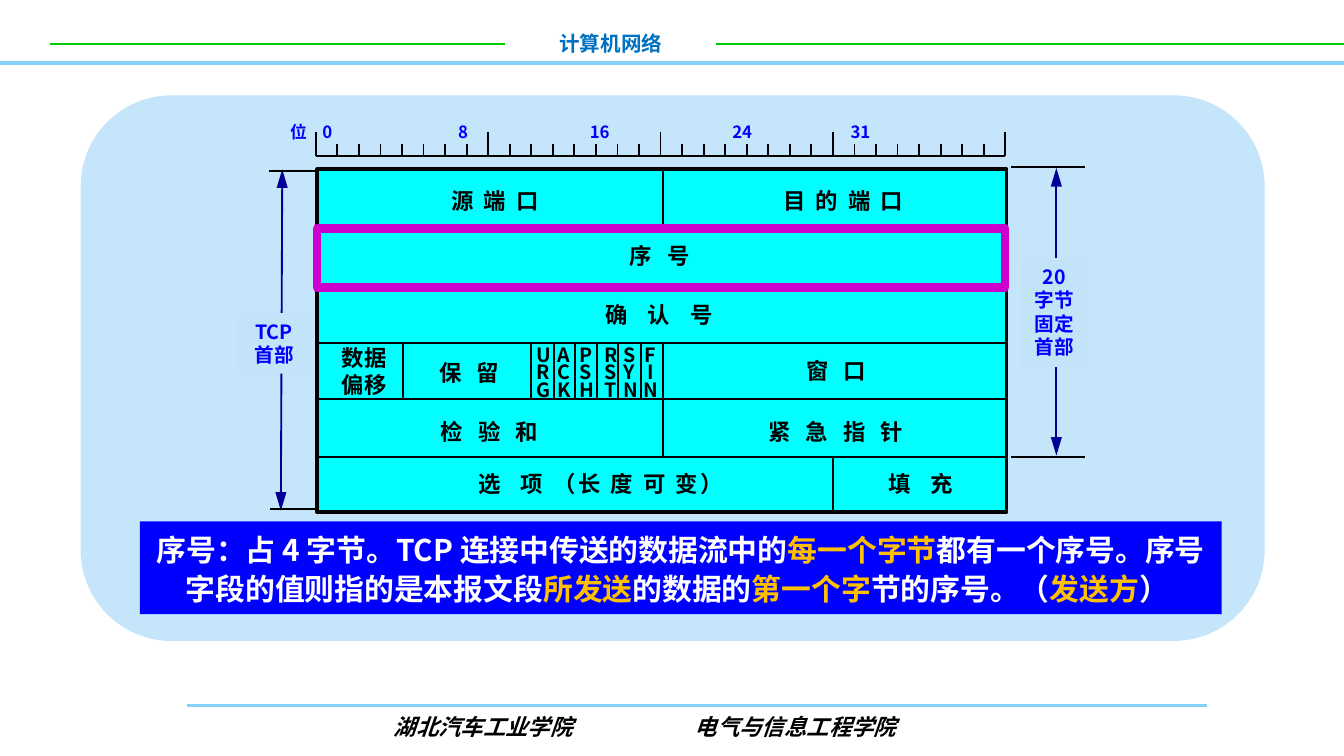
from lxml.etree import SubElement
from pptx import Presentation
from pptx.dml.color import RGBColor
from pptx.enum.shapes import MSO_CONNECTOR as CONN, MSO_SHAPE as SHAPE
from pptx.enum.text import MSO_ANCHOR as ANCHOR, MSO_AUTO_SIZE as AUTO, PP_ALIGN as ALIGN
from pptx.oxml.ns import qn
from pptx.util import Inches, Pt

CJK = "Noto Sans CJK SC"
BLACK, BLUE, WHITE, GOLD = "000000", "0000FF", "FFFFFF", "FFC000"
SKY, GREEN, PALE = "85D1F7", "00CC00", "C3E3F9"
LEFT, MIDDLE, RIGHT = 2.36, 4.93, 7.49
ROWS = [1.69, 2.12, 2.55, 2.97, 3.4]


def rgb(color):
    return RGBColor.from_string(color)


def add_line(s, x1, y1, x2, y2, color=BLACK, width=1, arrows=False):
    c = s.shapes.add_connector(CONN.STRAIGHT, *map(Inches, (x1, y1, x2, y2)))
    c.line.color.rgb = rgb(color)
    c.line.width = Pt(width)
    pr = c._element.spPr
    if arrows:
        for end in ("a:headEnd", "a:tailEnd"):
            SubElement(pr.find(qn("a:ln")), qn(end), type="triangle", w="med", len="lg")
    SubElement(pr, qn("a:effectLst"))


def add_box(s, kind, at, fill=None, line=None, width=1):
    sp = s.shapes.add_shape(kind, *map(Inches, at))
    sp.shadow.inherit = False
    if fill:
        sp.fill.solid()
        sp.fill.fore_color.rgb = rgb(fill)
    else:
        sp.fill.background()
    if line:
        sp.line.color.rgb = rgb(line)
        sp.line.width = Pt(width)
    else:
        sp.line.fill.background()
    return sp


def format_run(r, size, color, font, italic, spacing):
    r.font.size = Pt(size)
    r.font.bold = True
    r.font.italic = italic
    r.font.name = font
    r.font.color.rgb = rgb(color)
    pr = r._r.get_or_add_rPr()
    SubElement(pr, qn("a:ea"), typeface=font)
    if spacing:
        pr.set("spc", str(round(spacing * 100)))


def write(sp, paragraphs, size, color=BLACK, align=ALIGN.CENTER, wrap=True,
          font=CJK, italic=False, leading=None, anchor=ANCHOR.TOP, tabs=()):
    tf = sp.text_frame
    tf.word_wrap = wrap
    tf.auto_size = AUTO.SHAPE_TO_FIT_TEXT
    tf.vertical_anchor = anchor
    for i, spans in enumerate(paragraphs):
        p = tf.add_paragraph() if i else tf.paragraphs[0]
        p.alignment = align
        if leading:
            p.line_spacing = leading
        if tabs:
            stops = SubElement(p._p.get_or_add_pPr(), qn("a:tabLst"))
            for x in tabs:
                SubElement(stops, qn("a:tab"), pos=str(Inches(x)), algn="l")
        for text, tint, spacing in spans:
            r = p.add_run()
            r.text = text
            format_run(r, size, tint or color, font, italic, spacing)


def plain(*texts):
    return [[(text, None, 0)] for text in texts]


def add_text(s, at, paragraphs, size, **style):
    write(s.shapes.add_textbox(*map(Inches, at)), paragraphs, size, **style)


def add_frame(s):
    add_line(s, 1.39, 5.25, 8.98, 5.25, SKY, 1.5)
    add_line(s, 5.33, 0.33, 10, 0.33, GREEN)
    add_line(s, 0, 0.47, 10, 0.47, SKY, 2)
    add_line(s, 0.37, 0.33, 3.76, 0.33, GREEN)
    add_text(s, (3.76, 0.18, 1.57, 0.29), plain("计算机网络"), 11, color="0070C0")
    footer = [("湖北汽车工业学院", None, 0), (" ", None, 62), ("电气与信息工程学院", None, 0)]
    add_text(s, (1.02, 5.26, 7.56, 0.3), [footer], 12, font="Arial", italic=True)
    add_box(s, SHAPE.ROUNDED_RECTANGLE, (0.6, 0.71, 8.81, 4.06), "C5E5FB")


def add_ruler(s):
    start, base, step = 2.35, 1.16, 5.13 / 32
    add_line(s, start, base, start + 32 * step, base)
    for bit in range(33):
        x = start + bit * step
        add_line(s, x, 1.07 if bit % 8 else 0.98, x, base)
    add_text(s, (2.06, 0.86, 5.58, 0.25), plain("位\t0\t8\t16\t24\t31"), 9, color=BLUE,
             align=ALIGN.LEFT, tabs=(0.24, 1.25, 2.23, 3.29, 4.17))


def add_dimensions(s):
    add_line(s, 2.1, 1.26, 2.09, 3.8, "000099", arrows=True)
    add_line(s, 7.86, 1.25, 7.86, 3.39, "000099", arrows=True)
    for x1, x2, y in [(2, 2.35, 1.27), (2.01, 2.36, 3.79), (7.52, 8.07, 1.24), (7.52, 8.07, 3.4)]:
        add_line(s, x1, y, x2, y)
    fixed = add_box(s, SHAPE.RECTANGLE, (7.6, 1.92, 0.49, 0.81), PALE)
    write(fixed, plain("20", "字节", "固定", "首部"), 10.5, BLUE, wrap=False)
    whole = add_box(s, SHAPE.RECTANGLE, (1.77, 2.33, 0.54, 0.45), PALE)
    write(whole, plain("TCP 首部"), 10.5, BLUE, anchor=ANCHOR.MIDDLE)


def add_header_grid(s):
    add_box(s, SHAPE.RECTANGLE, (LEFT, 1.26, 5.13, 2.55), "00FFFF", BLACK, 2)
    for y in ROWS:
        add_line(s, LEFT, y, RIGHT, y)
    add_line(s, MIDDLE, 1.26, MIDDLE, ROWS[0])
    add_line(s, MIDDLE, ROWS[2], MIDDLE, ROWS[4])
    add_line(s, 6.2, ROWS[4], 6.2, 3.81)
    for x in (3, 3.95, 4.12, 4.28, 4.44, 4.6, 4.77):
        add_line(s, x, ROWS[2], x, ROWS[3])


def add_fields(s):
    left_fields = [
        (3.26, 1.34, 0.91, "源 端 口", 1.35), (5.73, 1.34, 1.18, "目 的 端 口", 1.35),
        (3.17, 2.62, 0.72, "保 留", 2.7), (5.9, 2.61, 0.72, "窗 口", 2.7),
        (3.18, 3.06, 1.01, "检 验 和", 2.7), (5.62, 3.06, 1.33, "紧 急 指 针", 2.7),
        (6.51, 3.45, 0.84, "填 充", 4.05),
    ]
    centred_fields = [(4.45, 1.75, 0.92, "序 号", 2.7), (4.29, 2.19, 1.23, "确 认 号", 4.05)]
    for align, fields in ((ALIGN.LEFT, left_fields), (ALIGN.CENTER, centred_fields)):
        for x, y, w, text, spacing in fields:
            add_text(s, (x, y, w, 0.3), [[(text, None, spacing)]], 12, align=align)
    options = [("选 ", None, 4.05), ("项 （长 度 可 变）", None, 1.35)]
    add_text(s, (3.32, 3.45, 2.3, 0.3), [options], 12)
    add_text(s, (2.44, 2.51, 0.54, 0.5), plain("数据", "偏移"), 12, wrap=False)
    flags = {"URG": 3.89, "ACK": 4.05, "PSH": 4.21, "RST": 4.4, "SYN": 4.54, "FIN": 4.68}
    for name, x in flags.items():
        align = ALIGN.CENTER if name == "FIN" else ALIGN.LEFT
        add_text(s, (x, 2.54, 0.32, 0.52), plain(*name), 10.5, wrap=False,
                 align=align, leading=0.75)


def add_explanation(s):
    add_box(s, SHAPE.RECTANGLE, (LEFT, 1.7, 5.12, 0.44), line="CC00CC", width=4.5)
    parts = ["序号：占 4 字节。TCP 连接中传送的数据流中的", "每一个字节",
             "都有一个序号。序号字段的值则指的是本报文段", "所发送", "的数据的",
             "第一个字", "节的序号。（", "发送方", "） "]
    spans = [(text, GOLD if i % 2 else WHITE, 0) for i, text in enumerate(parts)]
    note = add_box(s, SHAPE.RECTANGLE, (1.04, 3.88, 8.05, 0.69), BLUE)
    write(note, [spans], 16, leading=1.1)


def main():
    prs = Presentation()
    prs.slide_width = Inches(10)
    prs.slide_height = prs.slide_width * 9 // 16
    s = prs.slides.add_slide(prs.slide_layouts[6])
    add_frame(s)
    add_dimensions(s)
    add_header_grid(s)
    add_fields(s)
    add_explanation(s)
    add_ruler(s)
    prs.save("out.pptx")


if __name__ == "__main__":
    main()
